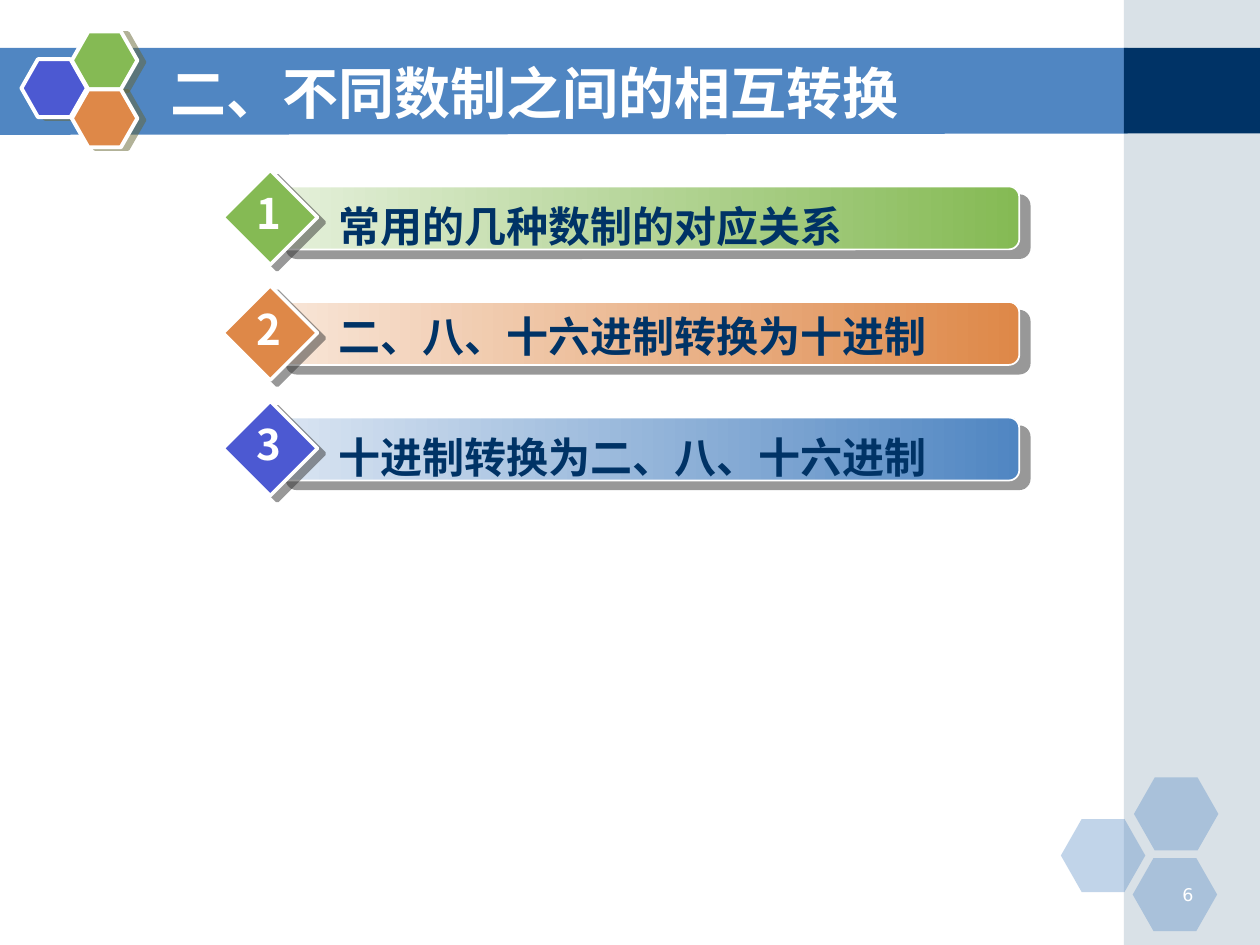
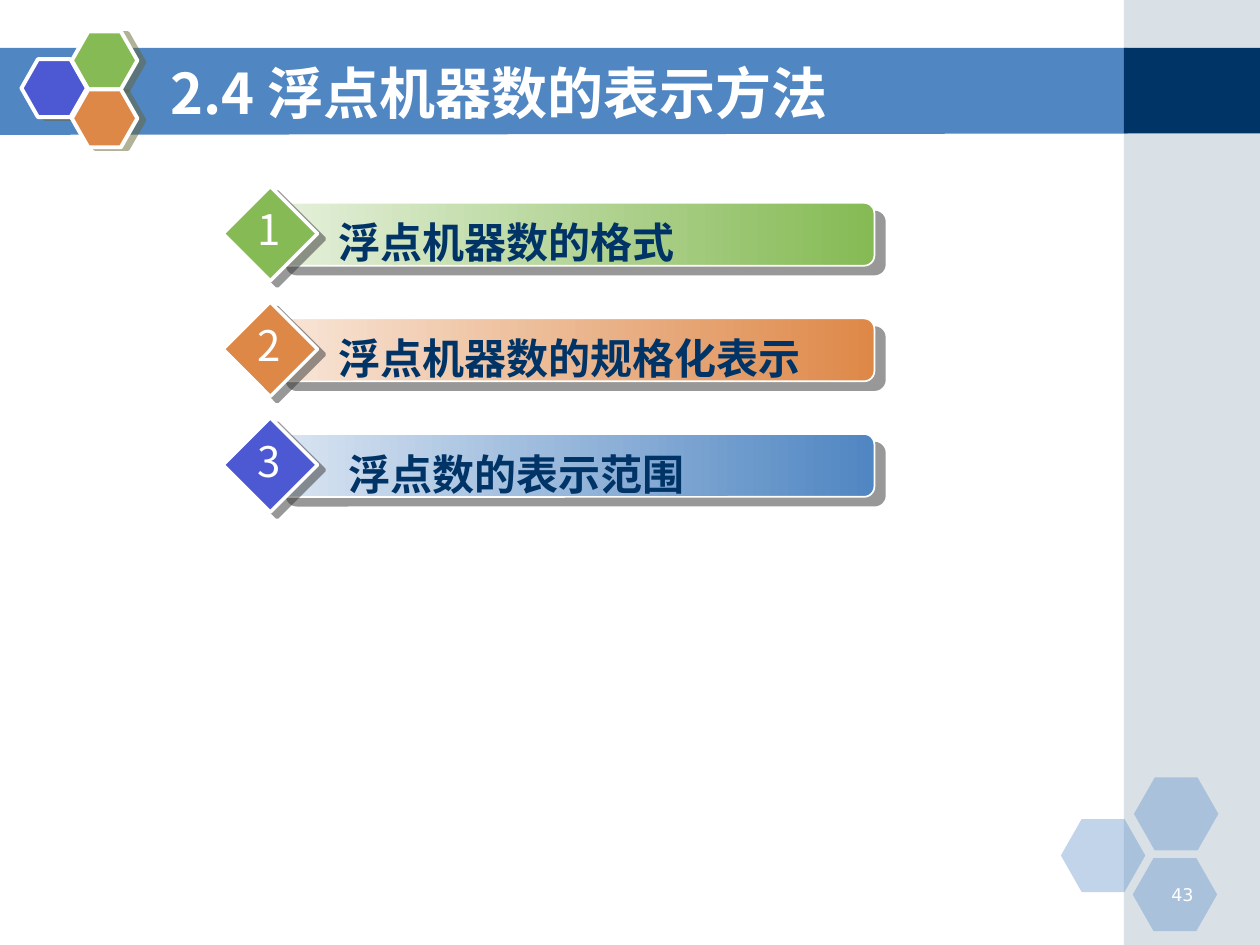
from lxml.etree import SubElement
from pptx import Presentation
from pptx.dml.color import RGBColor
from pptx.enum.shapes import MSO_SHAPE
from pptx.enum.text import MSO_ANCHOR, MSO_AUTO_SIZE, PP_ALIGN
from pptx.oxml.ns import qn
from pptx.util import Emu, Inches, Pt

CELL = Inches(1)
COLUMNS, ROWS = 10, 7.5
CJK_FONT = "Noto Sans CJK SC"
COLORS = {
    "white": "FFFFFF", "navy": "003366", "blue": "5086C2", "side": "A0B5C4",
    "violet": "4C59D2", "green": "85BA54", "orange": "DE8848",
    "pale_green": "E5F0DB", "pale_orange": "F8E6D8", "pale_blue": "DAE5F2",
    "gray_shadow": "333333", "olive_shadow": "666633",
}
AGENDA_STYLES = [
    ("green", "pale_green", "green"),
    ("orange", "pale_orange", "orange"),
    ("violet", "pale_blue", "blue"),
]
AGENDA_PITCH = 0.917
BAR_LEFT = 2.19
LABEL_INDENT = 0.15


def color(name):
    """Return the named palette colour."""
    return RGBColor.from_string(COLORS[name])


def grid(*cells):
    """Turn numbers of grid cells into lengths."""
    return [Emu(round(count * CELL)) for count in cells]


def add_filled(slide, preset, box, fill, opacity=None, line_width=None):
    """Add a preset shape with a flat fill and an optional white outline."""
    shape = slide.shapes.add_shape(preset, *grid(*box))
    shape.shadow.inherit = False
    shape.fill.solid()
    shape.fill.fore_color.rgb = color(fill)
    if opacity:
        fill_color = shape.element.spPr.find(qn("a:solidFill"))[0]
        SubElement(fill_color, qn("a:alpha"), val=str(opacity * 1000))
    if line_width:
        shape.line.color.rgb = color("white")
        shape.line.width = Pt(line_width)
    else:
        shape.line.fill.background()
    return shape


def add_shadow(shape, shadow_color, distance, angle):
    """Give a shape a half transparent hard shadow."""
    effects = shape.element.spPr.find(qn("a:effectLst"))
    shadow = SubElement(effects, qn("a:outerShdw"), blurRad="0", dist=str(Pt(distance)),
                        dir=str(angle * 60000), algn="ctr", rotWithShape="0")
    shade = SubElement(shadow, qn("a:srgbClr"), val=COLORS[shadow_color])
    SubElement(shade, qn("a:alpha"), val="50000")


def add_run(paragraph, text, size, text_color, bold=False, font_name=CJK_FONT):
    """Add a formatted run to a paragraph."""
    run = paragraph.add_run()
    run.text = text
    run.font.size = Pt(size)
    run.font.bold = bold
    run.font.color.rgb = color(text_color)
    run.font.name = font_name
    SubElement(run.font._element, qn("a:ea"), typeface=CJK_FONT)


def add_text(slide, box, text, size, text_color, alignment=PP_ALIGN.LEFT,
             wrap=True, indent=0, **run_format):
    """Add a text box that holds one paragraph."""
    text_box = slide.shapes.add_textbox(*grid(*box))
    frame = text_box.text_frame
    frame.word_wrap = wrap
    paragraph = frame.paragraphs[0]
    paragraph.alignment = alignment
    if indent:
        paragraph._p.get_or_add_pPr().set("marL", str(grid(indent)[0]))
    add_run(paragraph, text, size, text_color, **run_format)


def add_hexagon(slide, left, top, width, height, fill, **style):
    """Add a hexagon of the honeycomb motif."""
    hexagon = add_filled(slide, MSO_SHAPE.HEXAGON, (left, top, width, height), fill, **style)
    hexagon.adjustments[0] = 0.285
    return hexagon


def add_backdrop(slide):
    """Draw the band, the side panel and both honeycombs."""
    builder = slide.shapes.build_freeform(*grid(0, 0.38))
    builder.add_line_segments([grid(*point) for point in ((8.95, 0.38), (8.95, 1.06), (0, 1.07))])
    band = builder.convert_to_shape()
    band.shadow.inherit = False
    band.fill.solid()
    band.fill.fore_color.rgb = color("blue")
    band.line.fill.background()

    side_left = 8.92
    side_width = COLUMNS - side_left
    add_filled(slide, MSO_SHAPE.RECTANGLE, (side_left, 0, side_width, ROWS), "side", opacity=40)
    add_filled(slide, MSO_SHAPE.RECTANGLE, (side_left, 0.38, side_width, 0.68), "navy")
    for left, top in ((8.42, 6.5), (9, 6.17), (8.99, 6.81)):
        add_hexagon(slide, left, top, 0.67, 0.58, "blue", opacity=35)
    for left, top, fill in ((0.17, 0.47, "violet"), (0.57, 0.25, "green"), (0.57, 0.71, "orange")):
        hexagon = add_hexagon(slide, left, top, 0.52, 0.46, fill, line_width=2.25)
        add_shadow(hexagon, "olive_shadow", 4.1, 14)


def move_to_layout(slide, layout):
    """Hand every drawn shape of a slide over to its layout."""
    for shape in list(slide.shapes):
        if not shape.is_placeholder:
            layout.shapes.element.append(shape.element)


def set_title(slide, text):
    """Place and fill the title on the band."""
    title = slide.shapes.title
    title.left, title.top, title.width, title.height = grid(1.25, 0.42, 7.33, 0.62)
    frame = title.text_frame
    frame.auto_size = MSO_AUTO_SIZE.NONE
    frame.vertical_anchor = MSO_ANCHOR.MIDDLE
    paragraph = frame.paragraphs[0]
    paragraph.alignment = PP_ALIGN.LEFT
    add_run(paragraph, text, 32, "white", bold=True)


def add_bar(slide, top, width, start, end):
    """Add a rounded bar with a gradient from left to right."""
    bar = add_filled(slide, MSO_SHAPE.ROUNDED_RECTANGLE, (BAR_LEFT, top, width, 0.5), end, line_width=1)
    bar.adjustments[0] = 0.167
    bar.fill.gradient()
    bar.fill.gradient_angle = 0
    for stop, position, name in zip(bar.fill.gradient_stops, (0, 1), (start, end)):
        stop.position = position
        stop.color.rgb = color(name)
    add_shadow(bar, "gray_shadow", 7.8, 40)


def add_agenda(slide, top, width, items, bold_numbers):
    """Stack numbered bars at an equal pitch."""
    for index, (item, style) in enumerate(zip(items, AGENDA_STYLES)):
        label, label_offset, indent, font_name = item
        diamond_fill, start, end = style
        bar_top = top + index * AGENDA_PITCH
        add_bar(slide, bar_top, width, start, end)
        diamond = add_filled(slide, MSO_SHAPE.DIAMOND, (1.77, bar_top - 0.13, 0.75, 0.75),
                             diamond_fill, line_width=2)
        add_shadow(diamond, "gray_shadow", 5, 37)
        add_text(slide, (2.44, bar_top + label_offset, width - 0.39, 0.5), label, 24, "navy",
                 indent=indent, bold=True, font_name=font_name)
        add_text(slide, (1.94, bar_top - 0.04, 0.39, 0.5), str(index + 1), 24, "white",
                 alignment=PP_ALIGN.CENTER, wrap=False, bold=bold_numbers)


def add_page_number(slide, number):
    """Write the page number on the lowest hexagon."""
    add_text(slide, (9.07, 6.97, 0.5, 0.25), str(number), 10, "white",
             alignment=PP_ALIGN.RIGHT, font_name="DejaVu Sans")


def main():
    """Build both agenda slides."""
    presentation = Presentation()
    presentation.slide_width, presentation.slide_height = grid(COLUMNS, ROWS)
    layout = presentation.slide_layouts.get_by_name("Title Only")

    conversion = presentation.slides.add_slide(layout)
    add_backdrop(conversion)
    move_to_layout(conversion, layout)
    set_title(conversion, "二、不同数制之间的相互转换")
    add_agenda(conversion, 1.48, 5.9, [
        ("常用的几种数制的对应关系", 0.06, LABEL_INDENT, CJK_FONT),
        ("二、八、十六进制转换为十进制", 0.02, LABEL_INDENT, CJK_FONT),
        ("十进制转换为二、八、十六进制", 0.06, LABEL_INDENT, CJK_FONT),
    ], bold_numbers=True)
    add_page_number(conversion, 6)

    floating_point = presentation.slides.add_slide(layout)
    set_title(floating_point, "2.4 浮点机器数的表示方法")
    add_agenda(floating_point, 1.61, 4.75, [
        ("浮点机器数的格式", 0.06, LABEL_INDENT, CJK_FONT),
        ("浮点机器数的规格化表示", 0.06, LABEL_INDENT, CJK_FONT),
        ("浮点数的表示范围", 0.07, 0.23, "Arial"),
    ], bold_numbers=False)
    add_page_number(floating_point, 43)

    presentation.save("out.pptx")


if __name__ == "__main__":
    main()
